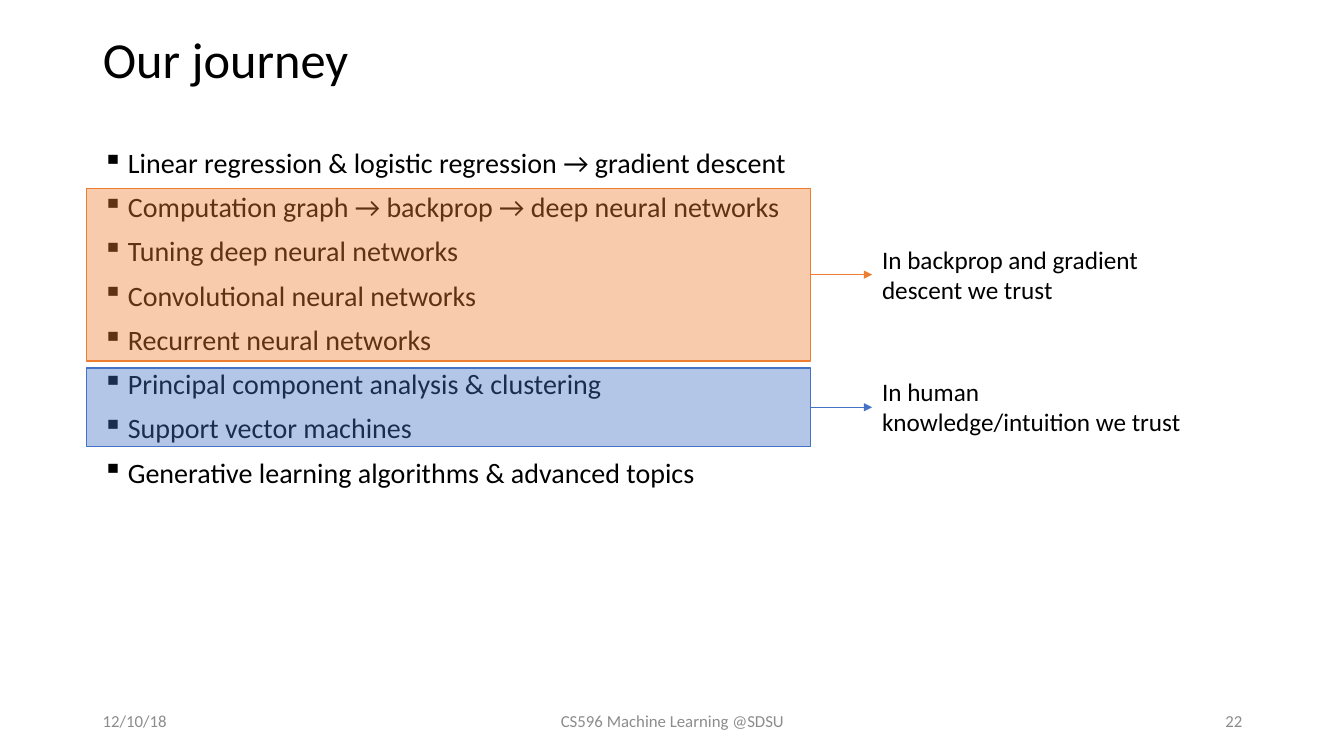
from dataclasses import dataclass

from lxml.etree import SubElement
from pptx import Presentation
from pptx.dml.color import RGBColor
from pptx.enum.shapes import MSO_CONNECTOR, MSO_SHAPE
from pptx.enum.text import MSO_ANCHOR, PP_ALIGN
from pptx.oxml.ns import qn
from pptx.shapes.base import BaseShape
from pptx.slide import Slide
from pptx.util import Inches, Pt

BLACK, GRAY = "000000", "8C8C8C"
BAND_LEFT, BAND_WIDTH = 0.86, 7.18
NOTE_LEFT, NOTE_WIDTH, NOTE_HEIGHT = 8.65, 3.24, 0.71
TOPICS = [
    "Linear regression & logistic regression → gradient descent",
    "Computation graph → backprop → deep neural networks",
    "Tuning deep neural networks",
    "Convolutional neural networks",
    "Recurrent neural networks",
    "Principal component analysis & clustering",
    "Support vector machines",
    "Generative learning algorithms & advanced topics",
]


@dataclass
class Band:
    """A tinted group of topics and the note it points to."""
    top: float
    height: float
    color: str
    note: str


@dataclass
class Foot:
    """One part of the footer."""
    left: float
    width: float
    text: str
    align: PP_ALIGN


BANDS = [
    Band(1.87, 1.71, "ED7D31", "In backprop and gradient descent we trust"),
    Band(3.65, 0.78, "4472C4", "In human knowledge/intuition we trust"),
]
FEET = [
    Foot(0.92, 3, "12/10/18", PP_ALIGN.LEFT),
    Foot(4.42, 4.5, "CS596 Machine Learning @SDSU", PP_ALIGN.CENTER),
    Foot(9.42, 3, "22", PP_ALIGN.RIGHT),
]


def rgb(code: str) -> RGBColor:
    """Turn a hex string into a colour."""
    return RGBColor.from_string(code)


def write(shape: BaseShape, text: str, size: float, color: str = BLACK,
          align: PP_ALIGN = PP_ALIGN.LEFT,
          anchor: MSO_ANCHOR = MSO_ANCHOR.TOP) -> None:
    """Fill a shape with text in one style."""
    frame = shape.text_frame
    frame.text = text
    frame.word_wrap = True
    frame.vertical_anchor = anchor
    for para in frame.paragraphs:
        para.alignment = align
        for run in para.runs:
            run.font.name = "Calibri"
            run.font.size = Pt(size)
            run.font.color.rgb = rgb(color)


def add_box(slide: Slide, left: float, top: float, width: float,
            height: float) -> BaseShape:
    """Add an empty text box."""
    return slide.shapes.add_textbox(
        Inches(left), Inches(top), Inches(width), Inches(height))


def add_title(slide: Slide, text: str) -> None:
    """Place and style the title."""
    title = slide.shapes.title
    title.left, title.top = Inches(0.92), Inches(0.18)
    title.width, title.height = Inches(11.5), Inches(0.88)
    write(title, text, 36, anchor=MSO_ANCHOR.MIDDLE)
    title.text_frame.paragraphs[0].line_spacing = 0.9


def add_topics(slide: Slide) -> None:
    """Add the bulleted list of topics."""
    box = add_box(slide, 0.92, 1.43, 11.5, 4.76)
    write(box, "\n".join(TOPICS), 20)
    for index, para in enumerate(box.text_frame.paragraphs):
        para.line_spacing = 0.9
        para.space_before = Pt(10 if index else 0)
        props = para._p.get_or_add_pPr()
        props.set("marL", str(Inches(0.25)))
        props.set("indent", str(-Inches(0.25)))
        SubElement(props, qn("a:buChar"), char="▪")


def add_band(slide: Slide, band: Band) -> None:
    """Add a tinted band, its note and the arrow between them."""
    rect = slide.shapes.add_shape(
        MSO_SHAPE.RECTANGLE, Inches(BAND_LEFT), Inches(band.top),
        Inches(BAND_WIDTH), Inches(band.height))
    rect.shadow.inherit = False
    rect.fill.solid()
    rect.fill.fore_color.rgb = rgb(band.color)
    tint = rect._element.spPr.find(".//" + qn("a:srgbClr"))
    SubElement(tint, qn("a:alpha"), val="40000")
    rect.line.color.rgb = rgb(band.color)
    rect.line.width = Pt(1)

    mid = band.top + band.height / 2
    note = add_box(slide, NOTE_LEFT, mid - NOTE_HEIGHT / 2,
                   NOTE_WIDTH, NOTE_HEIGHT)
    write(note, band.note, 18)

    arrow = slide.shapes.add_connector(
        MSO_CONNECTOR.STRAIGHT, Inches(BAND_LEFT + BAND_WIDTH), Inches(mid),
        Inches(NOTE_LEFT), Inches(mid))
    arrow.line.color.rgb = rgb(band.color)
    arrow.line.width = Pt(1)
    SubElement(arrow.line._get_or_add_ln(), qn("a:tailEnd"), type="triangle")
    SubElement(arrow._element.spPr, qn("a:effectLst"))


def main() -> None:
    """Build and save the slide."""
    deck = Presentation()
    deck.slide_width, deck.slide_height = Inches(13.33), Inches(7.5)
    slide = deck.slides.add_slide(deck.slide_layouts[5])
    add_title(slide, "Our journey")
    add_topics(slide)
    for foot in FEET:
        box = add_box(slide, foot.left, 6.95, foot.width, 0.4)
        write(box, foot.text, 12, GRAY, foot.align, MSO_ANCHOR.MIDDLE)
    for band in BANDS:
        add_band(slide, band)
    deck.save("out.pptx")


if __name__ == "__main__":
    main()
